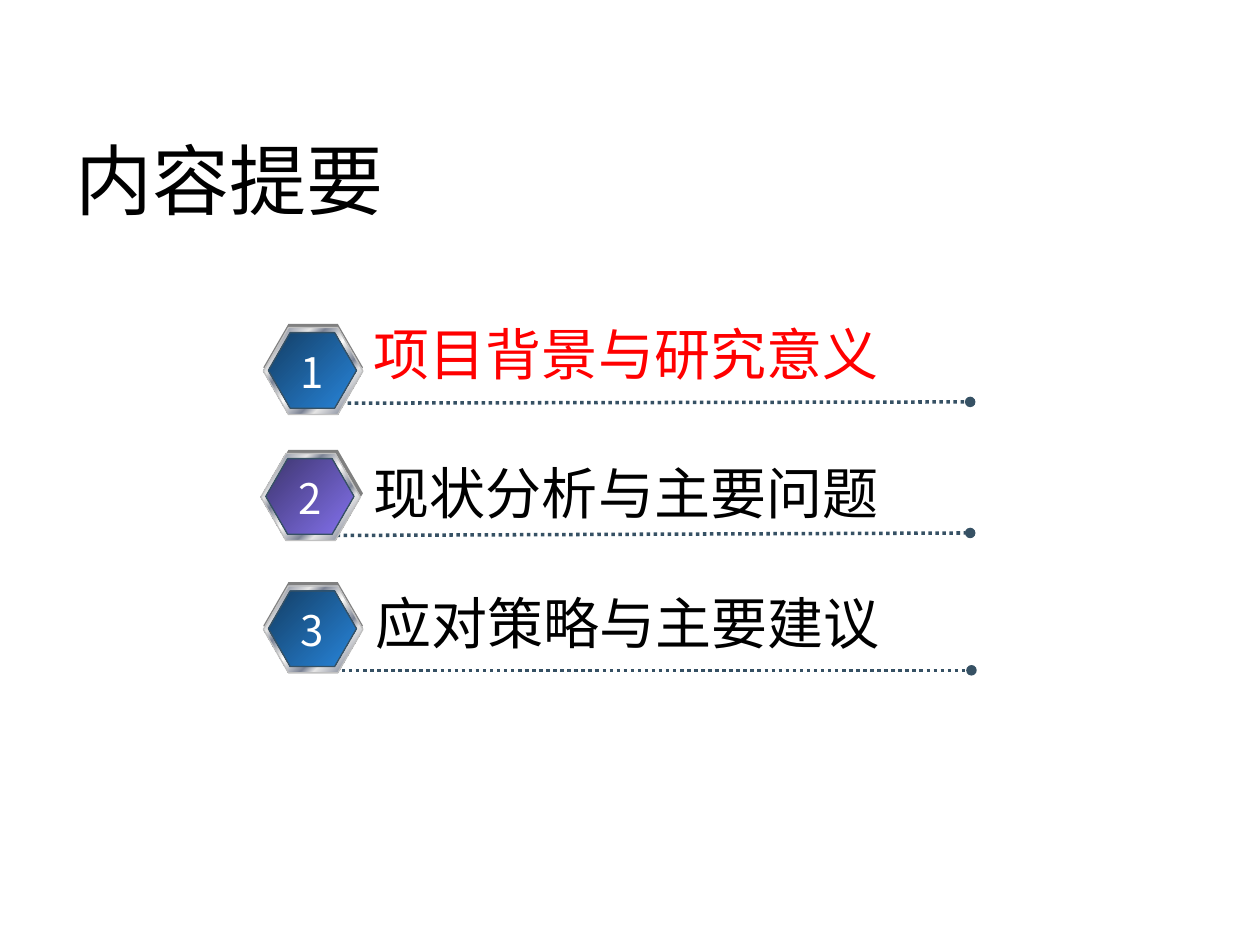
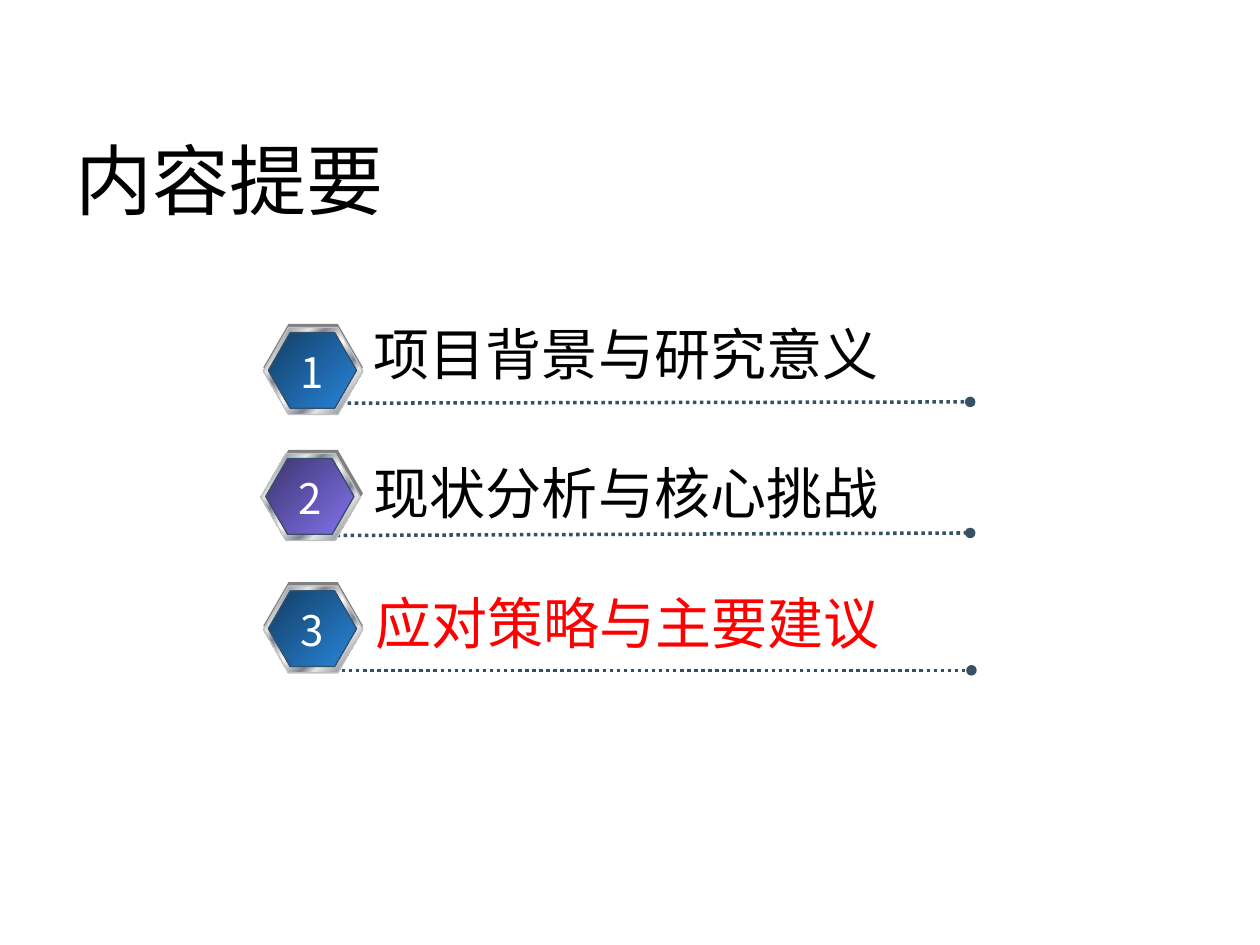
from lxml import etree
from pptx import Presentation
from pptx.dml.color import RGBColor
from pptx.enum import dml, shapes, text
from pptx.oxml.ns import qn
from pptx.util import Inches, Pt

FONT = "Noto Sans CJK SC"
BLACK, WHITE, RED, SLATE = "000000", "FFFFFF", "FF0000", "365164"
BLUE = [(0, "133E65"), (100, "2885DA")]
PURPLE = [(0, "3D356E"), (100, "8472EE")]
METAL = list(zip(
    (0, 8, 26, 34, 46, 50, 53, 66, 73, 92, 100),
    ("E6E6E6", "7D8496", "E6E6E6", "7D8496", "E6E6E6", "FFFFFF",
     "E6E6E6", "7D8496", "E6E6E6", "7D8496", "E6E6E6")))

# Badge left and top, face colours, label left and top, rule start and end
ROWS = [
    ((2.09, 2.6), BLUE, (2.87, 2.49), (2.48, 3.2), (7.7, 3.19)),
    ((2.07, 3.6), PURPLE, (2.87, 3.59), (2.56, 4.25), (7.7, 4.23)),
    ((2.09, 4.65), BLUE, (2.88, 4.62), (2.49, 5.32), (7.71, 5.32)),
]
# Labels and the index of the current section
AGENDAS = [
    (["项目背景与研究意义", "现状分析与主要问题", "应对策略与主要建议"], 0),
    (["项目背景与研究意义", "现状分析与核心挑战", "应对策略与主要建议"], 2),
]


def add_text(parent, words, box, size, color, wrap=False, align=text.PP_ALIGN.LEFT):
    textbox = parent.add_textbox(*map(Inches, box))
    frame = textbox.text_frame
    frame.text = words
    frame.word_wrap = wrap
    frame.auto_size = text.MSO_AUTO_SIZE.NONE if wrap else text.MSO_AUTO_SIZE.SHAPE_TO_FIT_TEXT
    frame.vertical_anchor = text.MSO_ANCHOR.MIDDLE if wrap else text.MSO_ANCHOR.TOP
    paragraph = frame.paragraphs[0]
    paragraph.alignment = align
    font = paragraph.runs[0].font
    font.size, font.name = Pt(size), FONT
    font.color.rgb = RGBColor.from_string(color)
    properties = paragraph.runs[0]._r.get_or_add_rPr()
    etree.SubElement(properties, qn("a:ea"), typeface=FONT)


def add_hexagon(parent, box, stops, outline=None):
    """Add a hexagon with a diagonal gradient, or a plain fill for one stop."""
    hexagon = parent.add_shape(shapes.MSO_SHAPE.HEXAGON, *map(Inches, box))
    hexagon.shadow.inherit = False
    hexagon.adjustments[0] = 0.289
    hexagon.adjustments[1] = 1.155
    if len(stops) == 1:
        hexagon.fill.solid()
        hexagon.fill.fore_color.rgb = RGBColor.from_string(stops[0][1])
    else:
        hexagon.fill.gradient()
        hexagon.fill.gradient_angle = 315
        stop_list = next(hexagon._element.iter(qn("a:gsLst")))
        for stop in list(stop_list):
            stop_list.remove(stop)
        for position, color in stops:
            stop = etree.SubElement(stop_list, qn("a:gs"), pos=str(position * 1000))
            etree.SubElement(stop, qn("a:srgbClr"), val=color)
    if outline:
        hexagon.line.color.rgb = RGBColor.from_string(outline)
        hexagon.line.width = Pt(0.75)
    else:
        hexagon.line.fill.background()


presentation = Presentation()
presentation.slide_width, presentation.slide_height = Inches(10), Inches(7.5)

for labels, current in AGENDAS:
    slide = presentation.slides.add_slide(presentation.slide_layouts[6])
    add_text(slide.shapes, "内容提要", (0.5, 0.98, 9, 0.88), 44, BLACK, wrap=True)

    for index, (label, row) in enumerate(zip(labels, ROWS)):
        (left, top), face_colors, label_place, start, end = row

        rule = slide.shapes.add_connector(
            shapes.MSO_CONNECTOR.STRAIGHT, *map(Inches, start + end))
        rule.line.color.rgb = RGBColor.from_string(SLATE)
        rule.line.width = Pt(2)
        rule.line.dash_style = dml.MSO_LINE.ROUND_DOT
        etree.SubElement(rule.line._get_or_add_ln(), qn("a:tailEnd"), type="oval")
        etree.SubElement(rule._element.spPr, qn("a:effectLst"))

        add_text(slide.shapes, label, label_place + (4.24, 0.64), 32,
                 RED if index == current else BLACK)

        badge = slide.shapes.add_group_shape().shapes
        add_hexagon(badge, (2.09, top - 0.03, 0.79, 0.69), [(0, "808080")])
        add_hexagon(badge, (left, top, 0.79, 0.69), METAL, "C0C0C0")
        add_hexagon(badge, (left + 0.04, top + 0.04, 0.7, 0.6), face_colors, SLATE)
        add_text(badge, str(index + 1), (left + 0.2, top + 0.1, 0.37, 0.5), 24, WHITE,
                 align=text.PP_ALIGN.CENTER)

presentation.save("out.pptx")
